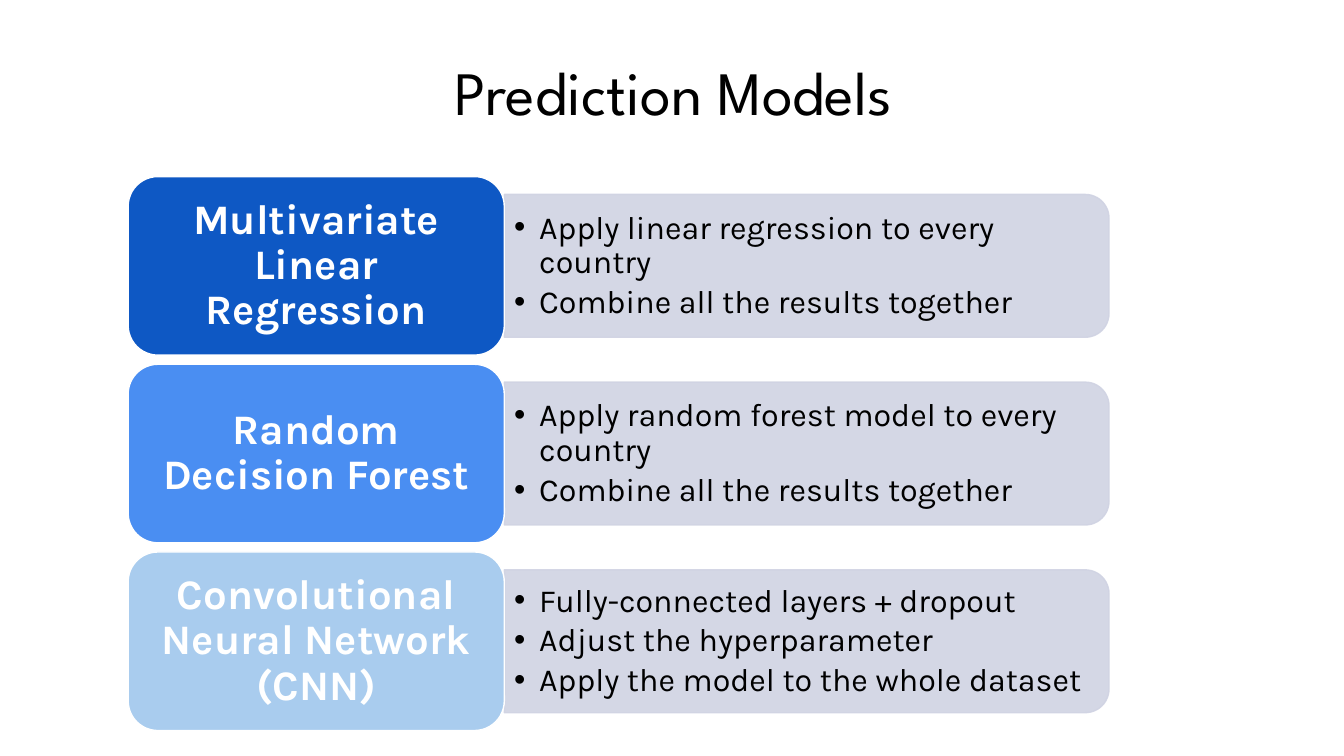
from math import cos, pi, sin

from pptx import Presentation
from pptx.dml.color import RGBColor
from pptx.enum.shapes import MSO_SHAPE
from pptx.enum.text import MSO_ANCHOR, PP_ALIGN
from pptx.oxml.ns import qn
from pptx.util import Cm, Pt
from lxml.etree import SubElement

MODELS = [
    ("Multivariate Linear Regression", "0E58C4",
     ["Apply linear regression to every country", "Combine all the results together"]),
    ("Random Decision Forest", "4A8EF2",
     ["Apply random forest model to every country", "Combine all the results together"]),
    ("Convolutional Neural Network (CNN)", "A9CCEE",
     ["Fully-connected layers + dropout", "Adjust the hyperparameter",
      "Apply the model to the whole dataset"]),
]


def color(hex_code):
    return RGBColor.from_string(hex_code)


class ModelSlide:
    heading_font = "League Spartan"
    body_font = "Karla"
    ink = "000000"
    white = "FFFFFF"
    panel_color = "D0D3E3"

    def __init__(self, deck):
        self.slide = deck.slides.add_slide(deck.slide_layouts[5])

    def add_text(self, paragraph, text, font, size, hex_code, bold=False):
        paragraph.line_spacing = 0.9
        run = paragraph.add_run()
        run.text = text
        run.font.name = font
        run.font.size = Pt(size)
        run.font.bold = bold
        run.font.color.rgb = color(hex_code)

    def paint(self, shape, fill, line):
        shape.shadow.inherit = False
        shape.fill.solid()
        shape.fill.fore_color.rgb = color(fill)
        shape.line.color.rgb = color(line)
        shape.line.width = Pt(1)

    def frame(self, shape, left, top, right, bottom):
        frame = shape.text_frame
        frame.word_wrap = True
        frame.vertical_anchor = MSO_ANCHOR.MIDDLE
        frame.margin_left, frame.margin_top = Cm(left), Cm(top)
        frame.margin_right, frame.margin_bottom = Cm(right), Cm(bottom)
        return frame

    def title(self, text, left, top, width, height):
        title = self.slide.shapes.title
        title.left, title.top = Cm(left), Cm(top)
        title.width, title.height = Cm(width), Cm(height)
        title.text_frame.vertical_anchor = MSO_ANCHOR.MIDDLE
        paragraph = title.text_frame.paragraphs[0]
        paragraph.alignment = PP_ALIGN.CENTER
        self.add_text(paragraph, text, self.heading_font, 44, self.ink)

    def card(self, text, fill, left, top, width, height):
        card = self.slide.shapes.add_shape(
            MSO_SHAPE.ROUNDED_RECTANGLE, Cm(left), Cm(top), Cm(width), Cm(height))
        self.paint(card, fill, self.white)
        paragraph = self.frame(card, 0.46, 0.23, 0.46, 0.23).paragraphs[0]
        paragraph.alignment = PP_ALIGN.CENTER
        self.add_text(paragraph, text, self.body_font, 30, self.white, bold=True)

    def panel(self, points, left, top, width, height, radius=0.6, steps=12):
        right, bottom = left + width, top + height
        corners = [(top + radius, -pi / 2), (bottom - radius, 0)]
        outline = [
            (Cm(right - radius + radius * cos(start + pi / 2 * step / steps)),
             Cm(center + radius * sin(start + pi / 2 * step / steps)))
            for center, start in corners for step in range(steps + 1)]
        builder = self.slide.shapes.build_freeform(Cm(left), Cm(top))
        builder.add_line_segments(outline + [(Cm(left), Cm(bottom))], close=True)
        panel = builder.convert_to_shape()
        self.paint(panel, self.panel_color, self.panel_color)
        for tint in panel._element.spPr.iter(qn("a:srgbClr")):
            SubElement(tint, qn("a:alpha"), val="90000")
        frame = self.frame(panel, 0.25, 0.3, 0.43, 0.3)
        for index, point in enumerate(points):
            paragraph = frame.add_paragraph() if index else frame.paragraphs[0]
            self.bullet(paragraph)
            paragraph.alignment = PP_ALIGN.LEFT
            if index:
                paragraph.space_before = Pt(3.5)
            self.add_text(paragraph, point, self.body_font, 23, self.ink)

    def bullet(self, paragraph):
        paragraph.level = 1
        properties = paragraph._p.get_or_add_pPr()
        properties.set("marL", str(Cm(0.63)))
        properties.set("indent", str(-Cm(0.63)))
        SubElement(properties, qn("a:buFont"), typeface="Arial")
        SubElement(properties, qn("a:buChar"), char="•")


def main():
    deck = Presentation()
    deck.slide_width, deck.slide_height = Cm(33.87), Cm(19.05)
    page = ModelSlide(deck)
    page.title("Prediction Models", 1.8, 0.56, 30.35, 3.68)

    card_left, card_width, card_height = 3.23, 9.48, 4.5
    panel_width, panel_height = 15.24, 3.6
    first_top, row_step = 4.45, 4.73
    for row, (model, fill, points) in enumerate(MODELS):
        top = first_top + row * row_step
        page.panel(points, card_left + card_width,
                   top + (card_height - panel_height) / 2, panel_width, panel_height)
        page.card(model, fill, card_left, top, card_width, card_height)
    deck.save("out.pptx")


if __name__ == "__main__":
    main()
